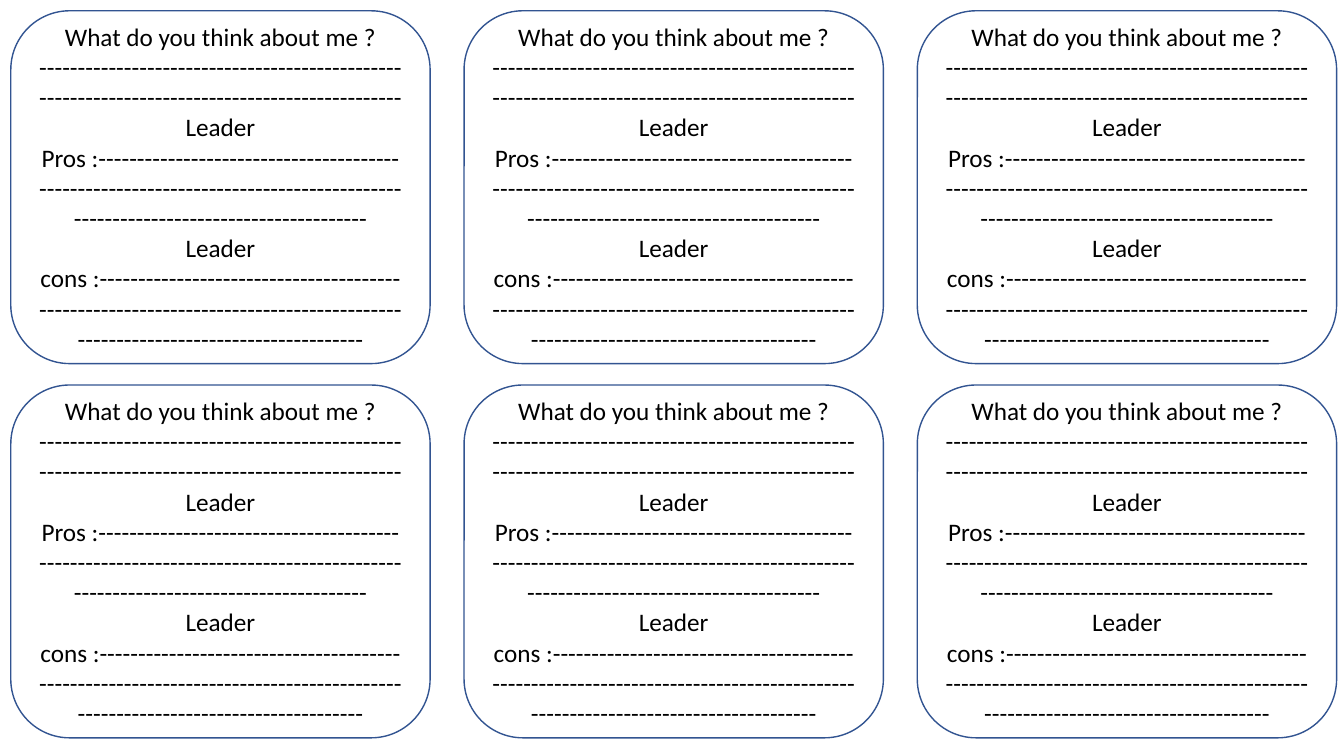
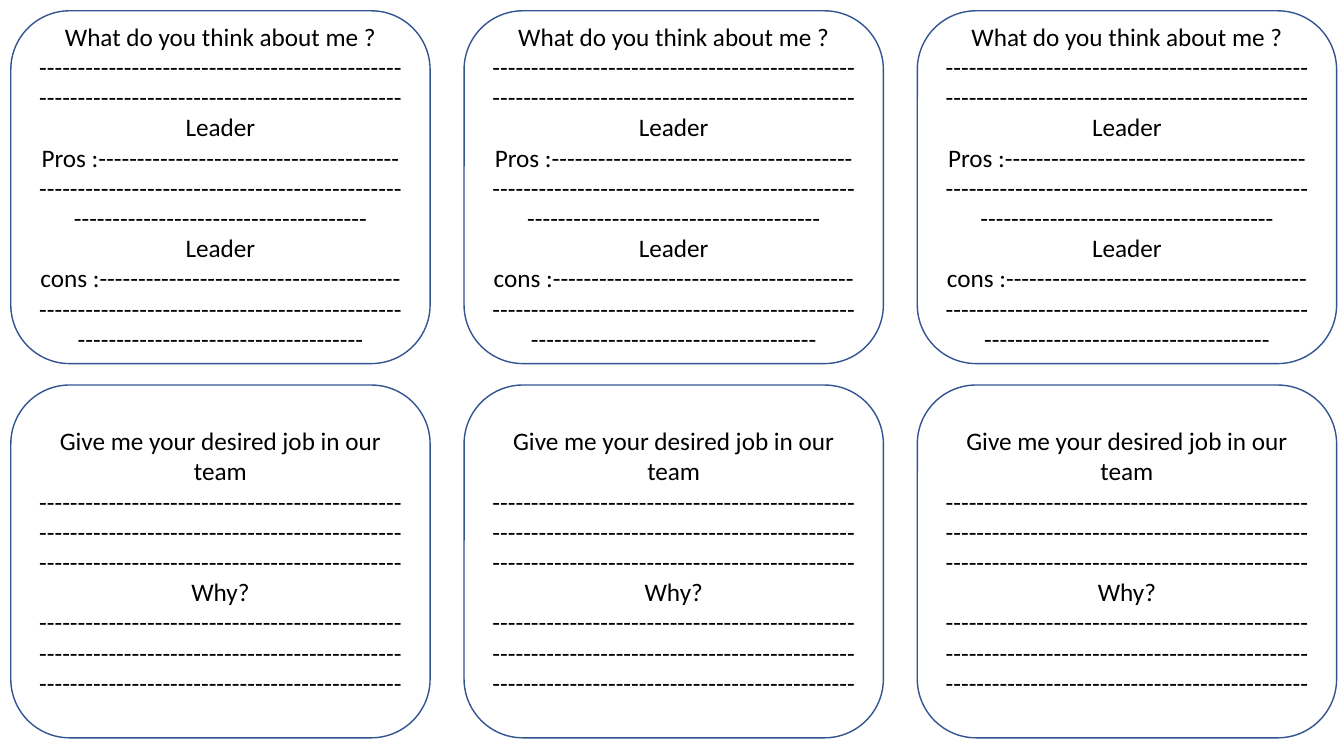
"""Build two sheets of feedback cards laid out in a three-by-two grid."""
from dataclasses import dataclass

from pptx import Presentation
from pptx.dml.color import RGBColor as RGB
from pptx.enum.shapes import MSO_SHAPE as SHAPE
from pptx.enum.text import MSO_ANCHOR as ANCHOR, PP_ALIGN as ALIGN
from pptx.util import Pt


@dataclass(frozen=True)
class Theme:
    font: str = "Calibri"
    size: float = 18
    ink: RGB = RGB(0x00, 0x00, 0x00)
    paper: RGB = RGB(0xFF, 0xFF, 0xFF)
    outline: RGB = RGB(0x32, 0x54, 0x91)
    line: float = 1


THEME = Theme()
MARGIN = 7.75
CARD_W, CARD_H = 299.5, 252
STEP_X, STEP_Y = 323.75, 267.3
COLUMNS = 3
ROW_DASHES = 47

OPINION = (
    "What do you think about me ?",
    "-" * (2 * ROW_DASHES) + "Leader Pros :" + "-" * 124,
    "Leader cons :" + "-" * 123,
)
JOB = (
    "Give me your desired job in our team",
    "-" * (3 * ROW_DASHES),
    "Why?",
    "-" * (3 * ROW_DASHES),
)
SHEETS = ((OPINION, OPINION), (OPINION, JOB))


def write(p, text, *, size=THEME.size, color=THEME.ink, align=ALIGN.CENTER):
    p.alignment = align
    r = p.add_run()
    r.text = text
    r.font.name = THEME.font
    r.font.size = Pt(size)
    r.font.color.rgb = color


def add_card(s, left, top, lines):
    sp = s.shapes.add_shape(SHAPE.ROUNDED_RECTANGLE, Pt(left), Pt(top), Pt(CARD_W), Pt(CARD_H))
    sp.shadow.inherit = False
    sp.fill.solid()
    sp.fill.fore_color.rgb = THEME.paper
    sp.line.color.rgb = THEME.outline
    sp.line.width = Pt(THEME.line)
    tf = sp.text_frame
    tf.word_wrap = True
    tf.vertical_anchor = ANCHOR.MIDDLE
    for i, text in enumerate(lines):
        write(tf.add_paragraph() if i else tf.paragraphs[0], text)


def add_sheet(prs, rows):
    s = prs.slides.add_slide(prs.slide_layouts.get_by_name("Blank"))
    for row, lines in enumerate(rows):
        for col in range(COLUMNS):
            add_card(s, MARGIN + col * STEP_X, MARGIN + row * STEP_Y, lines)


def main():
    prs = Presentation()
    prs.slide_width, prs.slide_height = Pt(960), Pt(540)
    for rows in SHEETS:
        add_sheet(prs, rows)
    prs.save("out.pptx")


if __name__ == "__main__":
    main()
